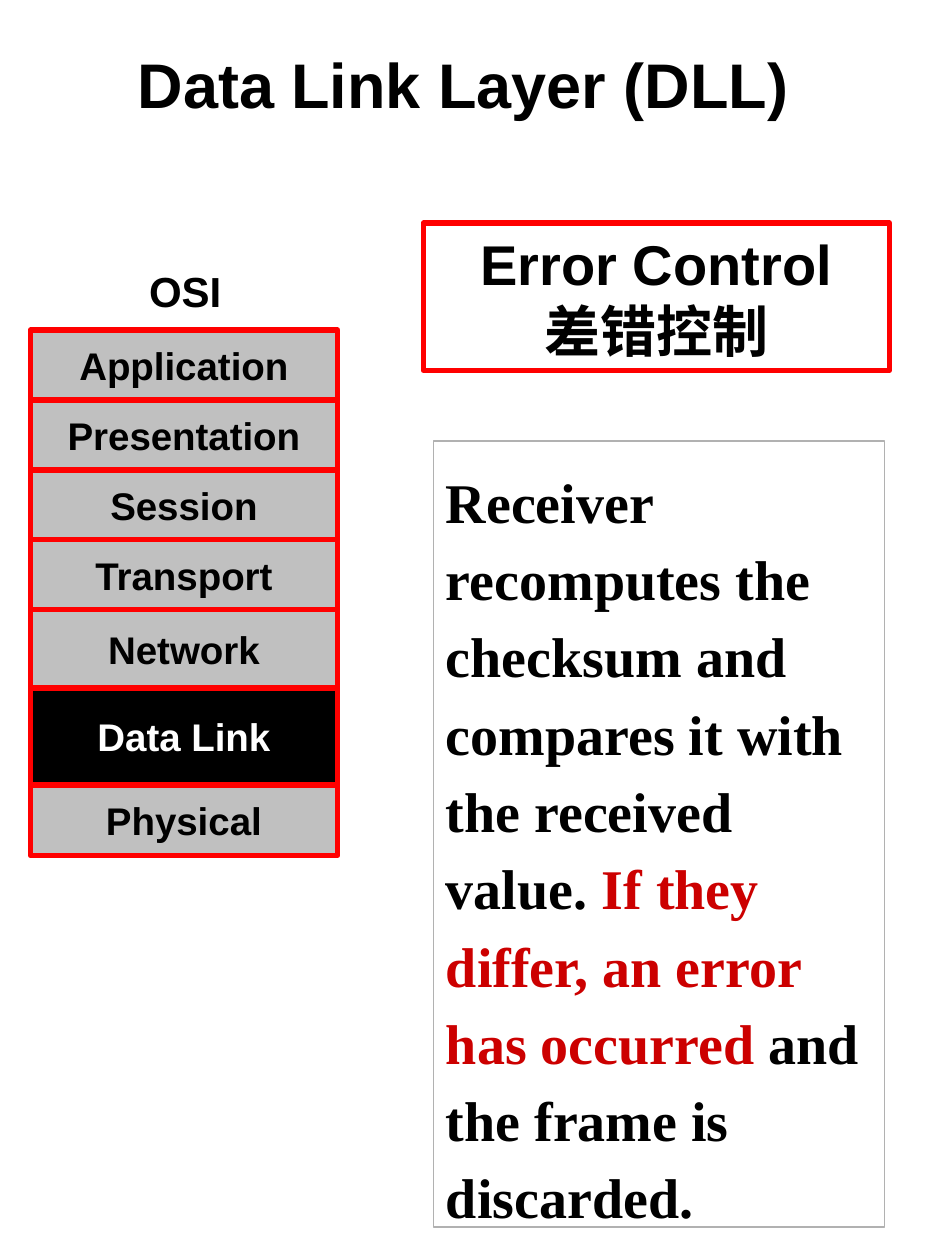
from pptx import Presentation
from pptx.dml.color import RGBColor
from pptx.enum.shapes import MSO_SHAPE
from pptx.enum.text import MSO_ANCHOR, PP_ALIGN
from pptx.util import Inches, Pt

RECTANGLE = MSO_SHAPE.RECTANGLE
TOP, MIDDLE = MSO_ANCHOR.TOP, MSO_ANCHOR.MIDDLE
LEFT, CENTER = PP_ALIGN.LEFT, PP_ALIGN.CENTER

BLACK, WHITE, GRAY, RED = "000000", "FFFFFF", "C0C0C0", "FF0000"
DARK_RED, BORDER_GRAY = "CC0000", "B1B1B1"

TITLE = "Data Link Layer (DLL) "
STACK_LABEL = "OSI"
LAYERS = [
    ("Application", 0.555),
    ("Presentation", 0.555),
    ("Session", 0.555),
    ("Transport", 0.555),
    ("Network", 0.62),
    ("Data Link", 0.77),
    ("Physical", 0.56),
]
CURRENT_LAYER = "Data Link"
TOPIC = ["Error Control", "差错控制"]
EXPLANATION = [[
    ("Receiver recomputes the checksum and compares it with the received value. ", BLACK),
    ("If they differ, an error has occurred", DARK_RED),
    (" and the frame is discarded.", BLACK),
]]
STACK_LEFT, STACK_TOP, STACK_WIDTH = 0.24, 2.62, 2.44


def rgb(value):
    return RGBColor.from_string(value)


def write(shape, paragraphs, size, font="Arial", color=BLACK, align=CENTER,
          anchor=MIDDLE, wrap=True, line_spacing=None, top_inset=0.05):
    frame = shape.text_frame
    frame.word_wrap = wrap
    frame.vertical_anchor = anchor
    frame.margin_left = frame.margin_right = Inches(0.1)
    frame.margin_top, frame.margin_bottom = Inches(top_inset), Inches(0.05)
    for index, content in enumerate(paragraphs):
        para = frame.add_paragraph() if index else frame.paragraphs[0]
        para.alignment = align
        para.space_before = Pt(0)
        if line_spacing:
            para.line_spacing = line_spacing
        spans = [(content, color)] if isinstance(content, str) else content
        for text, span_color in spans:
            span = para.add_run()
            span.text = text
            span.font.name = font
            span.font.size = Pt(size)
            span.font.bold = True
            span.font.color.rgb = rgb(span_color)


def add_box(page, left, top, width, height, line, line_width, fill=None):
    box = page.shapes.add_shape(RECTANGLE, *map(Inches, (left, top, width, height)))
    box.shadow.inherit = False
    box.line.color.rgb = rgb(line)
    box.line.width = Pt(line_width)
    if fill:
        box.fill.solid()
        box.fill.fore_color.rgb = rgb(fill)
    else:
        box.fill.background()
    return box


def add_layer_stack(page):
    top = STACK_TOP
    for name, height in LAYERS:
        fill, color = (BLACK, WHITE) if name == CURRENT_LAYER else (GRAY, BLACK)
        box = add_box(page, STACK_LEFT, top, STACK_WIDTH, height, RED, 3, fill)
        write(box, [name], 22, color=color, wrap=False)
        top += height
    label = page.shapes.add_textbox(*map(Inches, (0.25, 2.03, STACK_WIDTH, 0.56)))
    write(label, [STACK_LABEL], 24, wrap=False)


def main():
    deck = Presentation()
    deck.slide_width, deck.slide_height = Inches(7.5), Inches(10)
    page = deck.slides.add_slide(deck.slide_layouts[5])

    title = page.shapes.title
    title.left, title.top, title.width, title.height = map(Inches, (0.22, 0, 7.05, 1.33))
    write(title, [TITLE], 36)

    explanation = add_box(page, 3.44, 3.5, 3.58, 6.24, BORDER_GRAY, 1)
    write(explanation, EXPLANATION, 32, font="Times New Roman", align=LEFT,
          anchor=TOP, line_spacing=1.15, top_inset=0.13)

    add_layer_stack(page)

    topic = add_box(page, 3.36, 1.77, 3.7, 1.17, RED, 3)
    write(topic, TOPIC, 32, anchor=TOP)

    deck.save("out.pptx")


if __name__ == "__main__":
    main()
